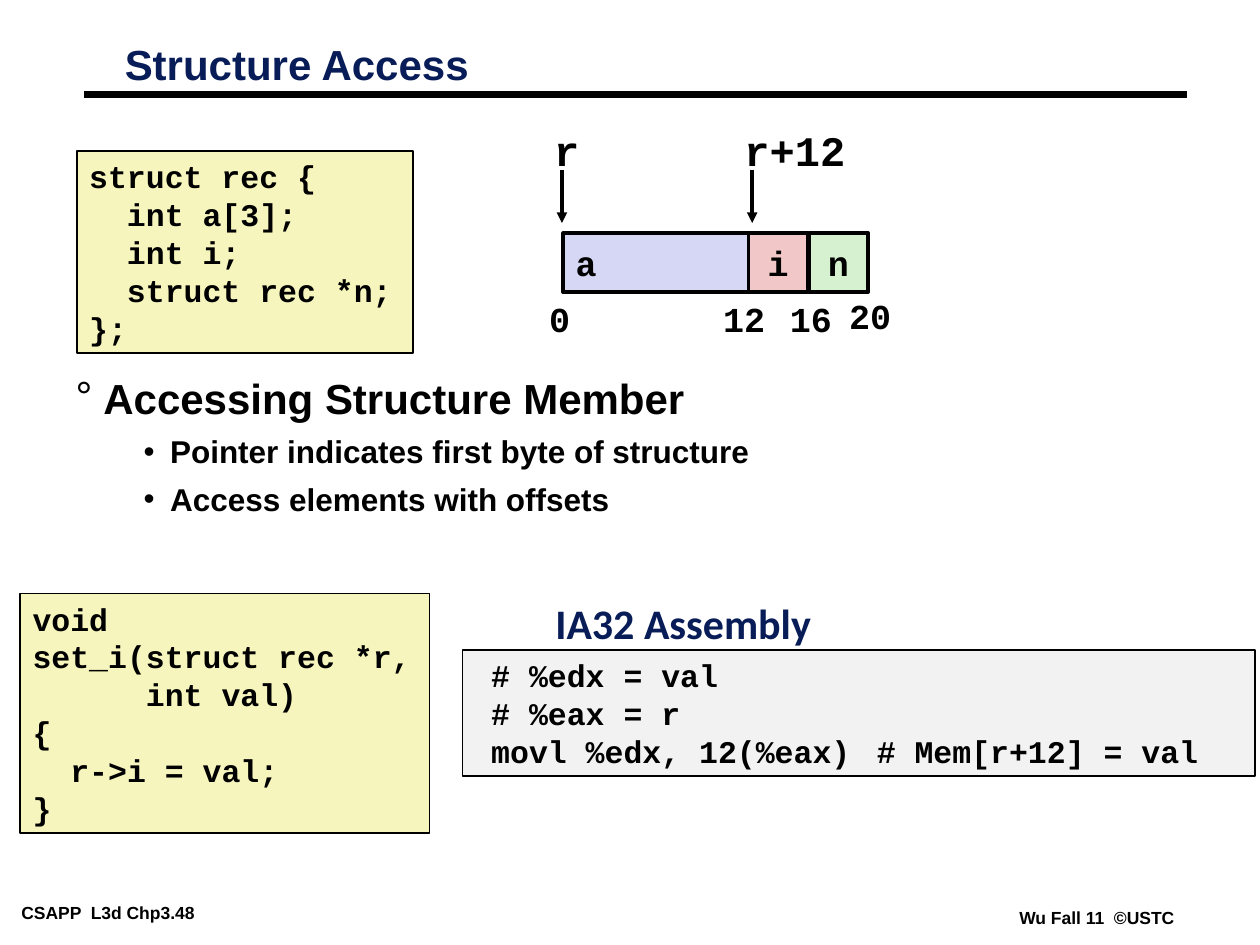
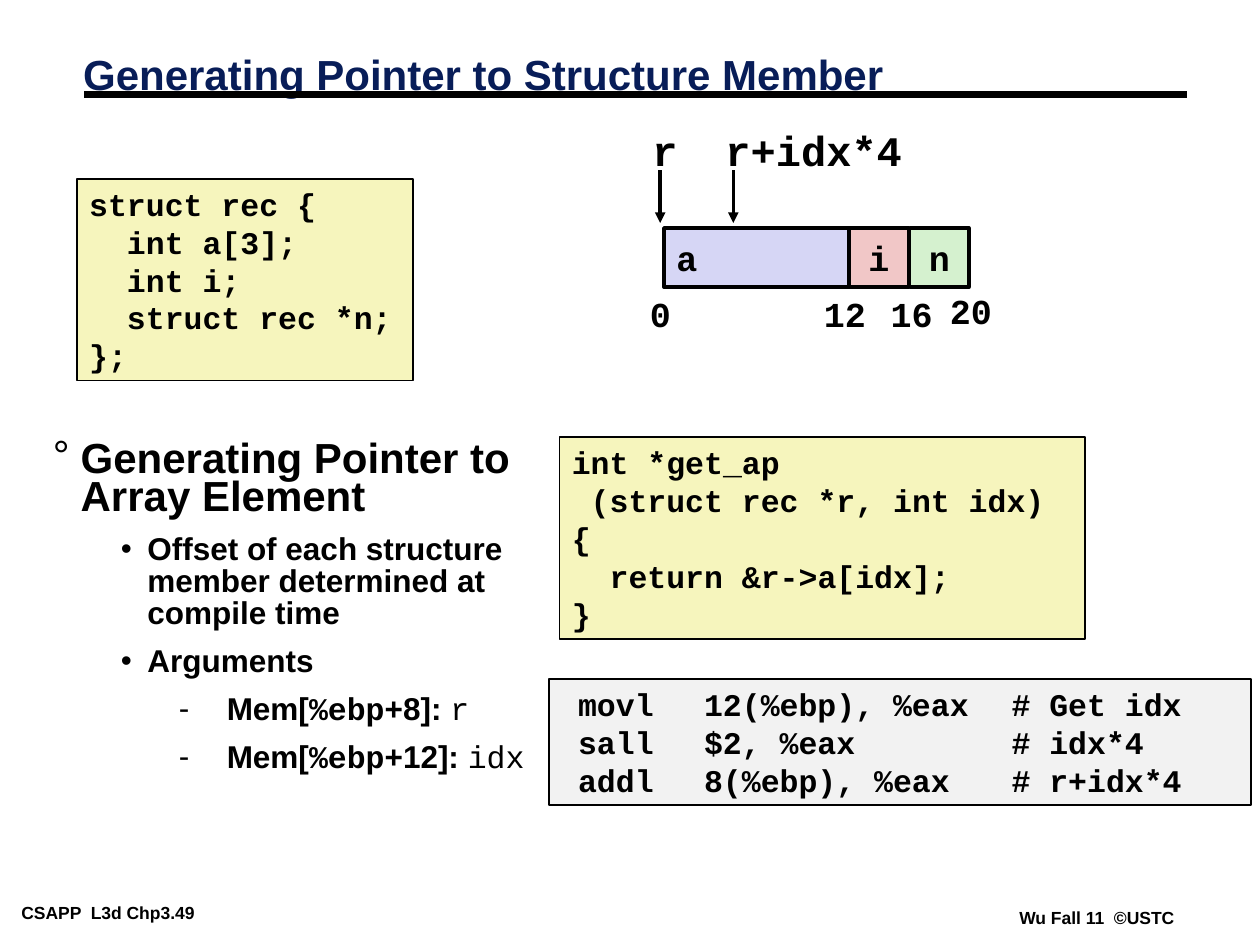
from dataclasses import dataclass

from lxml import etree
from pptx import Presentation
from pptx import util as u
from pptx.dml.color import RGBColor
from pptx.enum import shapes, text
from pptx.oxml.ns import qn


@dataclass(frozen=True)
class Theme:
    ink: str = "000000"
    navy: str = "081D58"
    code: str = "F6F5BD"
    asm: str = "F2F2F2"
    array: str = "D6D6F5"
    integer: str = "F1C7C7"
    pointer: str = "D5F1CF"
    sans: str = "Arial"
    mono: str = "Courier New"
    heading: str = "Calibri"
    large: int = 24
    medium: int = 20
    normal: int = 18
    small: int = 10


T = Theme()

# Per list level: bullet, margin, hanging indent, line spacing, space before, size
LEVELS = [
    ("°", 0.22, 0.22, 0.75, 19.5, T.large),
    ("•", 0.75, 0.21, 0.85, 9, T.normal),
    ("-", 1.38, 0.38, 0.85, 9, T.normal),
]

STRUCT_CODE = """struct rec {
  int a[3];
  int i;
  struct rec *n;
};"""

SET_I_CODE = """void
set_i(struct rec *r,
      int val)
{
  r->i = val;
}"""

GET_AP_CODE = """int *get_ap
 (struct rec *r, int idx)
{
  return &r->a[idx];
}"""

SET_I_ASM = """\t# %edx = val
\t# %eax = r
\tmovl %edx, 12(%eax) \t# Mem[r+12] = val"""

GET_AP_ASM = """\tmovl\t12(%ebp), %eax\t# Get idx
\tsall\t$2, %eax\t# idx*4
\taddl\t8(%ebp), %eax\t# r+idx*4"""


# --- Formatting helpers ---
def apply(obj, formats):
    for name, value in formats.items():
        setattr(obj, name, value)


def box(left, top, width, height):
    return [u.Inches(v) for v in (left, top, width, height)]


def add_run(p, words, size, font=T.mono, color=T.ink, bold=True):
    r = p.add_run()
    r.text = words
    apply(r.font, {"size": u.Pt(size), "name": font, "bold": bold})
    r.font.color.rgb = RGBColor.from_string(color)


def paragraphs(tf, count):
    return [tf.paragraphs[0]] + [tf.add_paragraph() for _ in range(count - 1)]


def set_tabs(p, stops):
    tabs = etree.SubElement(p._p.get_or_add_pPr(), qn("a:tabLst"))
    for stop in stops:
        etree.SubElement(tabs, qn("a:tab"), pos=str(u.Inches(stop)), algn="l")


def set_bullet(p, char, margin, hanging):
    pPr = p._p.get_or_add_pPr()
    pPr.set("marL", str(u.Inches(margin)))
    pPr.set("indent", str(-u.Inches(hanging)))
    color = etree.SubElement(pPr, qn("a:buClr"))
    etree.SubElement(color, qn("a:srgbClr"), val=T.ink)
    etree.SubElement(pPr, qn("a:buChar"), char=char)


# --- Kinds of element ---
def add_line(s, start, end, width, arrow=False):
    ends = [u.Inches(v) for v in (*start, *end)]
    line = s.shapes.add_connector(shapes.MSO_CONNECTOR.STRAIGHT, *ends)
    line.line.width = u.Pt(width)
    line.line.color.rgb = RGBColor.from_string(T.ink)
    spPr = line._element.spPr
    if arrow:
        etree.SubElement(spPr.find(qn("a:ln")), qn("a:tailEnd"), type="triangle")
    etree.SubElement(spPr, qn("a:effectLst"))


def add_rect(s, place, fill, width):
    sp = s.shapes.add_shape(shapes.MSO_SHAPE.RECTANGLE, *box(*place))
    sp.shadow.inherit = False
    sp.fill.solid()
    sp.fill.fore_color.rgb = RGBColor.from_string(fill)
    sp.line.color.rgb = RGBColor.from_string(T.ink)
    sp.line.width = u.Pt(width)
    return sp


def add_code(s, place, code, fill=T.code, tabs=()):
    tf = add_rect(s, place, fill, 1).text_frame
    apply(tf, {"word_wrap": True, "vertical_anchor": text.MSO_ANCHOR.TOP,
               "auto_size": text.MSO_AUTO_SIZE.SHAPE_TO_FIT_TEXT})
    lines = code.split("\n")
    for p, line in zip(paragraphs(tf, len(lines)), lines):
        p.alignment = text.PP_ALIGN.LEFT
        add_run(p, line, T.normal)
        if tabs:
            set_tabs(p, tabs)


def add_label(s, place, words, size, font=T.mono, color=T.ink, inset=(0.1, 0.05)):
    tf = s.shapes.add_textbox(*box(*place)).text_frame
    side, edge = [u.Inches(v) for v in inset]
    apply(tf, {"word_wrap": False, "auto_size": text.MSO_AUTO_SIZE.SHAPE_TO_FIT_TEXT,
               "margin_left": side, "margin_right": side,
               "margin_top": edge, "margin_bottom": edge})
    add_run(tf.paragraphs[0], words, size, font, color)


def add_field(s, place, name, fill, align):
    tf = add_rect(s, place, fill, 2).text_frame
    apply(tf, {"word_wrap": False, "vertical_anchor": text.MSO_ANCHOR.MIDDLE})
    p = tf.paragraphs[0]
    p.alignment = align
    add_run(p, name, T.medium)


def add_pointer(s, x, words, width):
    add_line(s, (x, 1.35), (x, 1.77), 2, arrow=True)
    add_label(s, (x - 0.16, 0.94, width, 0.5), words, T.large)


def add_layout(s, left, top):
    """Memory layout of struct rec with its byte offsets."""
    left_al, center = text.PP_ALIGN.LEFT, text.PP_ALIGN.CENTER
    for name, dx, width, fill, align in [("i", 1.47, 0.47, T.integer, center),
                                         ("a", 0, 1.47, T.array, left_al),
                                         ("n", 1.95, 0.47, T.pointer, center)]:
        add_field(s, (left + dx, top, width, 0.47), name, fill, align)
    # Two digits need slightly more than 0.53 inches to stay on one line
    for offset, dx, dy, width in [("0", -0.21, 0.46, 0.38), ("12", 1.17, 0.46, 0.55),
                                  ("16", 1.7, 0.46, 0.55), ("20", 2.17, 0.44, 0.55)]:
        add_label(s, (left + dx, top + dy, width, 0.43), offset, T.medium)


# --- Shared slide parts ---
def place_holder(sp, place):
    apply(sp, dict(zip(("left", "top", "width", "height"), box(*place))))
    return sp.text_frame


def add_slide(prs, number, title, title_place):
    s = prs.slides.add_slide(prs.slide_layouts[1])
    inset = (0.07, 0.03)
    add_label(s, (0.1, 7.13, 2.03, 0.22), f"CSAPP  L3d Chp3.{number}", T.small, T.sans, inset=inset)
    add_label(s, (8.02, 7.17, 1.38, 0.22), "Wu Fall 11  ©USTC", T.small, T.sans, inset=inset)
    add_line(s, (0.67, 0.75), (9.42, 0.75), 4.5)
    tf = place_holder(s.shapes.title, title_place)
    apply(tf, {"word_wrap": True, "vertical_anchor": text.MSO_ANCHOR.MIDDLE,
               "auto_size": text.MSO_AUTO_SIZE.SHAPE_TO_FIT_TEXT})
    p = tf.paragraphs[0]
    apply(p, {"alignment": text.PP_ALIGN.LEFT, "line_spacing": 0.87})
    add_run(p, title, T.large, T.sans, T.navy)
    return s


def fill_body(s, place, items):
    """Each item is a level and its runs: (words, font, bold)."""
    tf = place_holder(s.placeholders[1], place)
    apply(tf, {"word_wrap": True, "auto_size": text.MSO_AUTO_SIZE.NONE})
    for p, (level, runs) in zip(paragraphs(tf, len(items)), items):
        char, margin, hanging, spacing, before, size = LEVELS[level]
        apply(p, {"level": level, "line_spacing": spacing,
                  "space_before": u.Pt(before)})
        set_bullet(p, char, margin, hanging)
        for words, font, bold in runs:
            add_run(p, words, size, font, bold=bold)


def plain(level, words):
    return level, [(words, T.sans, True)]


def argument(offset, name):
    return 2, [("Mem[", T.sans, True), ("%ebp", T.mono, True),
               (f"+{offset}]: ", T.sans, True), (name, T.mono, False)]


# --- Slides ---
def structure_access(prs):
    s = add_slide(prs, 48, "Structure Access", (0.89, 0.31, 4.98, 0.45))
    fill_body(s, (0.5, 3, 8.67, 2.42), [
        plain(0, "Accessing Structure Member"),
        plain(1, "Pointer indicates first byte of structure"),
        plain(1, "Access elements with offsets"),
    ])
    add_code(s, (0.61, 1.2, 2.67, 1.6), STRUCT_CODE)
    add_label(s, (4.31, 4.69, 2.23, 0.45), "IA32 Assembly", T.large, T.heading, T.navy)
    add_code(s, (3.67, 5.16, 6.29, 1), SET_I_ASM, T.asm, tabs=(0.13, 3.19))
    add_code(s, (0.16, 4.71, 3.25, 1.9), SET_I_CODE)
    add_layout(s, 4.47, 1.85)
    add_pointer(s, 5.97, "r+12", 1)
    add_pointer(s, 4.46, "r", 0.4)


def pointer_to_member(prs):
    s = add_slide(prs, 49, "Generating Pointer to Structure Member", (0.56, 0.39, 9.08, 0.45))
    fill_body(s, (0.32, 3.47, 4.29, 3.14), [
        plain(0, "Generating Pointer to Array Element"),
        plain(1, "Offset of each structure member determined at compile time"),
        plain(1, "Arguments"),
        argument(8, "r"),
        argument(12, "idx"),
    ])
    add_code(s, (4.36, 5.39, 5.57, 1), GET_AP_ASM, T.asm, tabs=(0.13, 1.13, 3.57))
    add_code(s, (4.44, 3.47, 4.17, 1.6), GET_AP_CODE)
    add_pointer(s, 5.82, "r+idx*4", 1.6)
    add_pointer(s, 5.24, "r", 0.4)
    add_layout(s, 5.27, 1.81)
    add_code(s, (0.61, 1.42, 2.67, 1.6), STRUCT_CODE)


def main():
    prs = Presentation()
    prs.slide_width, prs.slide_height = u.Inches(10), u.Inches(7.5)
    structure_access(prs)
    pointer_to_member(prs)
    prs.save("out.pptx")


if __name__ == "__main__":
    main()
